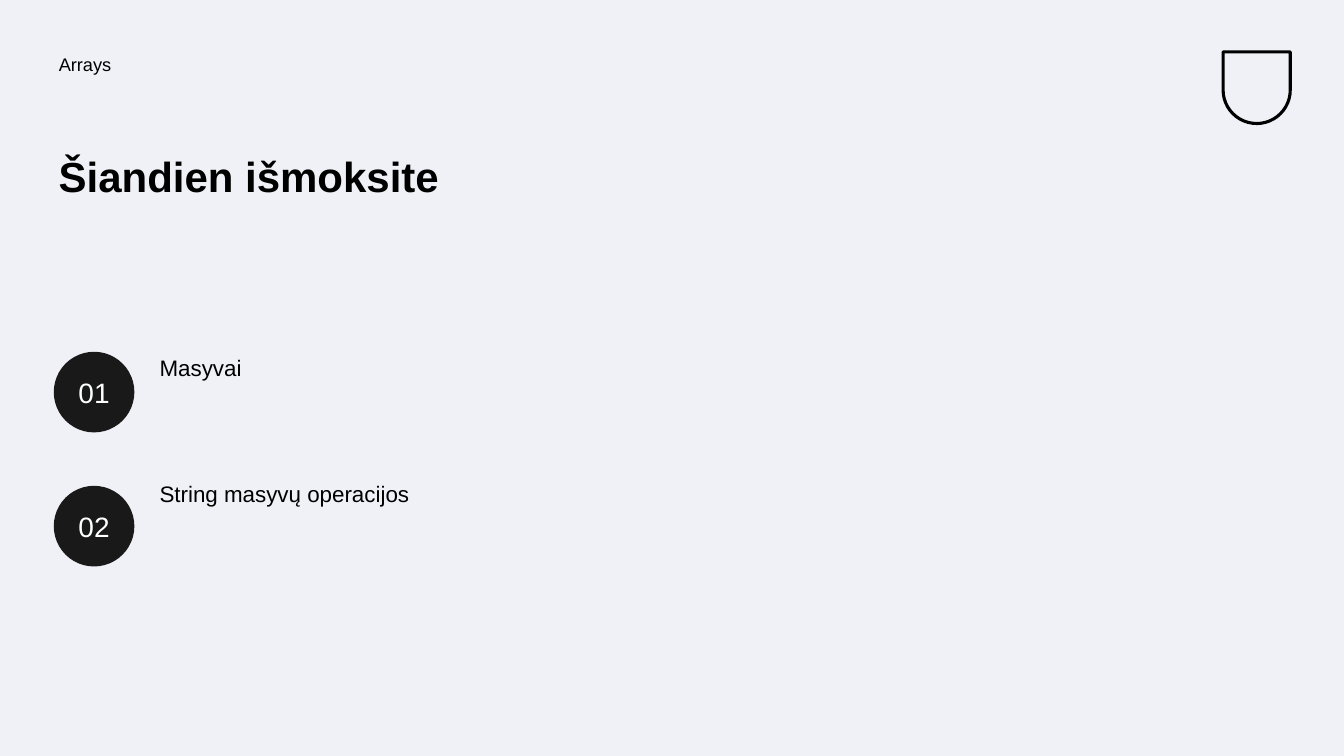
from pptx import Presentation
from pptx.dml.color import RGBColor
from pptx.enum.shapes import MSO_SHAPE
from pptx.enum.text import MSO_ANCHOR, PP_ALIGN
from pptx.util import Inches, Pt

PALE = RGBColor(0xF0, 0xF1, 0xF6)
BLACK = RGBColor(0x00, 0x00, 0x00)
DARK = RGBColor(0x19, 0x19, 0x19)
WHITE = RGBColor(0xFE, 0xFF, 0xFF)

OVAL = MSO_SHAPE.OVAL
SHIELD = MSO_SHAPE.ROUND_2_SAME_RECTANGLE
TOP, MIDDLE = MSO_ANCHOR.TOP, MSO_ANCHOR.MIDDLE
LEFT, CENTER = PP_ALIGN.LEFT, PP_ALIGN.CENTER

WIDTH, HEIGHT = Inches(13.33), Inches(7.5)
COL, ROW = WIDTH / 100, HEIGHT / 75

MARGIN = 4
TOPICS = ["Masyvai", "String masyvų operacijos"]
FIRST_ROW = 34.9
LABEL_STEP, DISC_STEP = 12.5, 13.3


def place(col, row, cols, rows):
    """Turn grid units into left, top, width and height."""
    return [round(n) for n in (col * COL, row * ROW, cols * COL, rows * ROW)]


def write(shape, text, size, color=BLACK, bold=False,
          align=LEFT, anchor=TOP, spacing=0.9):
    frame = shape.text_frame
    inset = Inches(0.05)
    layout = {"word_wrap": True, "vertical_anchor": anchor,
              "margin_left": inset, "margin_right": inset,
              "margin_top": inset, "margin_bottom": inset}
    for name, value in layout.items():
        setattr(frame, name, value)
    para = frame.paragraphs[0]
    para.alignment, para.line_spacing = align, spacing
    run = para.add_run()
    run.text = text
    style = {"name": "Arial", "size": Pt(size), "bold": bold}
    for name, value in style.items():
        setattr(run.font, name, value)
    run.font.color.rgb = color


def add_text(slide, box, text, size, **style):
    write(slide.shapes.add_textbox(*place(*box)), text, size, **style)


def add_disc(slide, row, number):
    disc = slide.shapes.add_shape(OVAL, *place(MARGIN, row, 6, 8))
    disc.shadow.inherit = False
    disc.fill.solid()
    disc.fill.fore_color.rgb = DARK
    disc.line.fill.background()
    write(disc, f"{number:02}", 20, color=WHITE,
          align=CENTER, anchor=MIDDLE, spacing=1.0)


def add_shield(slide):
    shield = slide.shapes.add_shape(SHIELD, *place(91, 5.15, 5, 7.1))
    shield.adjustments[0] = 0.5
    shield.rotation = 180
    shield.shadow.inherit = False
    shield.fill.background()
    shield.line.color.rgb = BLACK
    shield.line.width = Pt(2.2)


def main():
    deck = Presentation()
    deck.slide_width, deck.slide_height = WIDTH, HEIGHT
    slide = deck.slides.add_slide(deck.slide_layouts[6])
    slide.background.fill.solid()
    slide.background.fill.fore_color.rgb = PALE

    add_shield(slide)
    add_text(slide, (MARGIN, 5, 46, 5), "Arrays", 13)
    add_text(slide, (MARGIN, 15, 42.3, 14.9), "Šiandien išmoksite", 30,
             bold=True)
    for i, topic in enumerate(TOPICS):
        add_text(slide, (11.5, FIRST_ROW + i * LABEL_STEP, 34.7, 9.9),
                 topic, 16)
        add_disc(slide, FIRST_ROW + i * DISC_STEP, i + 1)

    deck.save("out.pptx")


if __name__ == "__main__":
    main()
